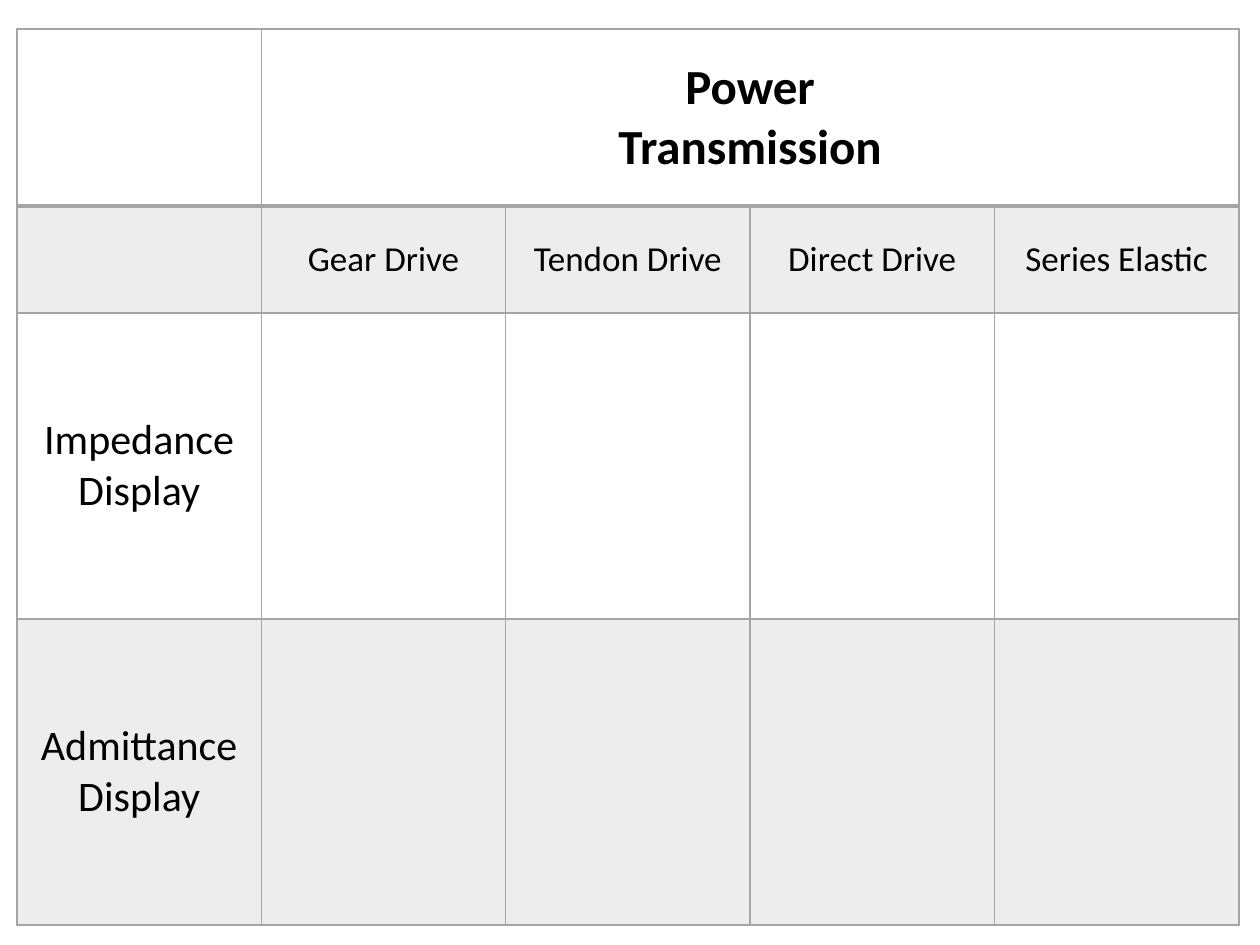
from lxml.etree import SubElement
from pptx import Presentation
from pptx.dml.color import RGBColor
from pptx.enum.text import MSO_ANCHOR, PP_ALIGN
from pptx.oxml.ns import qn
from pptx.util import Inches, Pt

COLORS = {"text": "000000", "grid": "A5A5A5"}
BAND_OPACITY = 20

HEADING = "Power\nTransmission"
DRIVES = ["Gear Drive", "Tendon Drive", "Direct Drive", "Series Elastic"]
DISPLAYS = ["Impedance\nDisplay", "Admittance\nDisplay"]

COLUMN_COUNT = 1 + len(DRIVES)
BLANKS = [""] * len(DRIVES)
ROWS = [
    ["", HEADING] + BLANKS[1:],
    [""] + DRIVES,
    *[[display] + BLANKS for display in DISPLAYS],
]
ROW_FORMATS = [
    {"size": Pt(28), "bold": True},
    {"size": Pt(20), "bold": False},
    {"size": Pt(24), "bold": False},
    {"size": Pt(24), "bold": False},
]

PX = Inches(1) / 126
TABLE_LEFT, TABLE_TOP, TABLE_WIDTH = 17, 29, 1222
ROW_HEIGHTS = [177, 107, 306, 306]


def px(length):
    return round(length * PX)


def add_border(cell, side, points):
    line = SubElement(cell._tc.get_or_add_tcPr(), qn(f"a:ln{side}"), w=str(Pt(points)))
    fill = SubElement(line, qn("a:solidFill"))
    SubElement(fill, qn("a:srgbClr"), val=COLORS["grid"])


def fill_band(cell):
    cell.fill.solid()
    cell.fill.fore_color.rgb = RGBColor.from_string(COLORS["grid"])
    color = cell._tc.tcPr.find(qn("a:solidFill")).find(qn("a:srgbClr"))
    SubElement(color, qn("a:alpha"), val=str(BAND_OPACITY * 1000))


def write_label(cell, label, font_format):
    cell.text = label
    for paragraph in cell.text_frame.paragraphs:
        paragraph.alignment = PP_ALIGN.CENTER
        for run in paragraph.runs:
            run.font.name = "Calibri"
            run.font.color.rgb = RGBColor.from_string(COLORS["text"])
            for attribute, setting in font_format.items():
                setattr(run.font, attribute, setting)


def main():
    deck = Presentation()
    deck.slide_width, deck.slide_height = Inches(10), Inches(7.5)
    slide = deck.slides.add_slide(deck.slide_layouts[6])

    matrix = slide.shapes.add_table(
        len(ROWS), COLUMN_COUNT, px(TABLE_LEFT), px(TABLE_TOP),
        px(TABLE_WIDTH), px(sum(ROW_HEIGHTS)),
    ).table
    matrix.first_row = matrix.horz_banding = False
    for column in matrix.columns:
        column.width = px(TABLE_WIDTH / COLUMN_COUNT)
    for row, height in zip(matrix.rows, ROW_HEIGHTS):
        row.height = px(height)
    matrix.cell(0, 1).merge(matrix.cell(0, COLUMN_COUNT - 1))

    for r, (labels, font_format) in enumerate(zip(ROWS, ROW_FORMATS)):
        for c, label in enumerate(labels):
            cell = matrix.cell(r, c)
            cell.vertical_anchor = MSO_ANCHOR.MIDDLE
            # The rule between the heading and the drives is heavier
            weights = {"L": 1, "R": 1, "T": 2 if r == 1 else 1, "B": 2 if r == 0 else 1}
            for side, points in weights.items():
                add_border(cell, side, points)
            if r % 2:
                fill_band(cell)
            else:
                cell.fill.background()
            if label:
                write_label(cell, label, font_format)

    deck.save("out.pptx")


if __name__ == "__main__":
    main()
